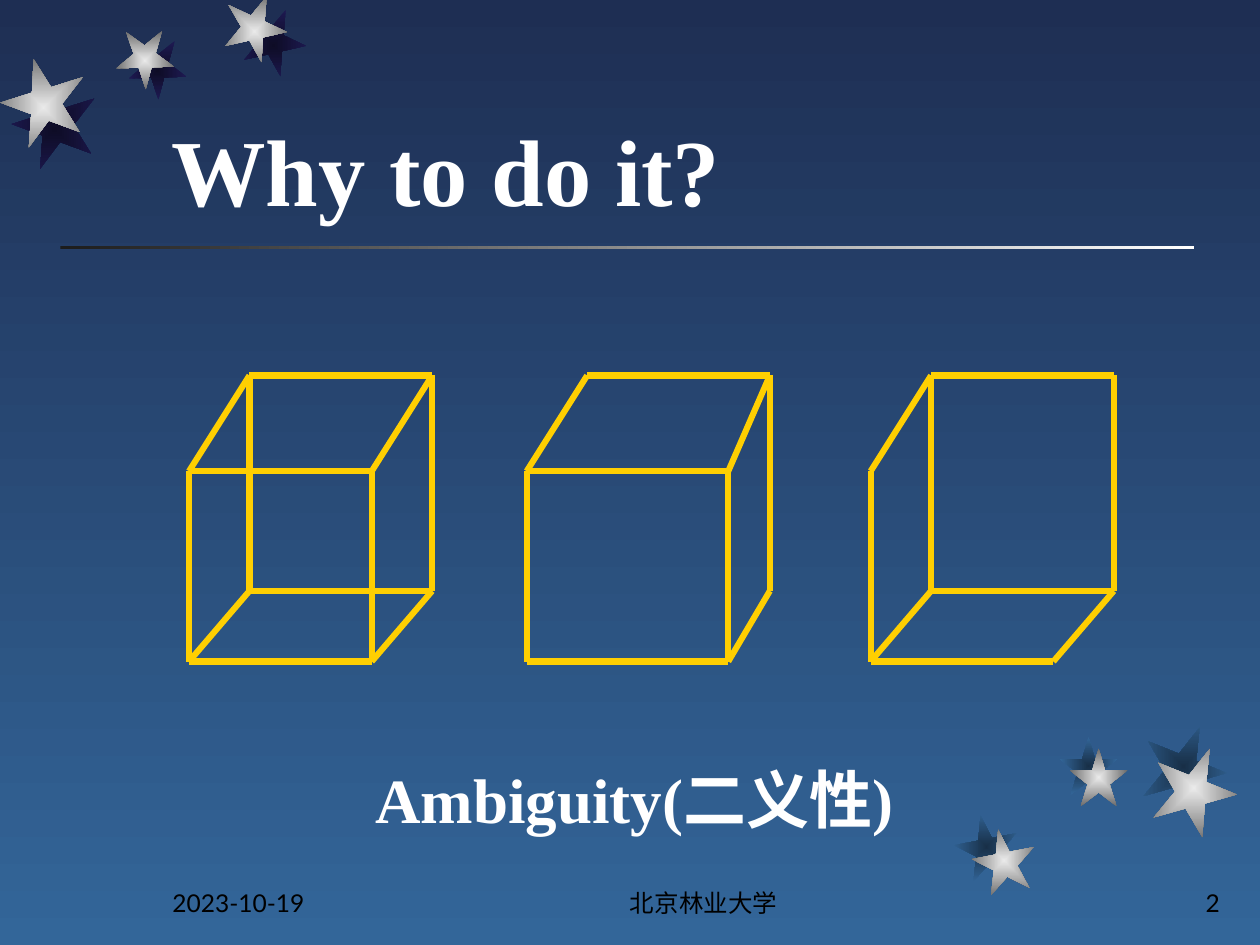
from dataclasses import dataclass

from lxml import etree
from pptx import Presentation, util as u
from pptx.dml.color import RGBColor
from pptx.enum import shapes, text
from pptx.oxml import ns


@dataclass(frozen=True)
class Theme:
    sky: tuple = ("1E2E53", "336699")
    rule: tuple = ("1C1C1C", "FFFFFF")
    silver: tuple = ("EAEAEA", "6C6C6C")
    night_shadow: tuple = ("0E0C26", "1E1A53")
    dusk_shadow: tuple = ("182F47", "336699")
    edge: str = "FFCF01"
    heading: str = "FFFFFF"
    footer: str = "000000"
    heading_font: str = "Times New Roman"
    footer_font: str = "Lato"
    title_size: int = 54
    caption_size: int = 36
    footer_size: int = 14
    edge_width: float = 3.5


THEME = Theme()

# Five-pointed star outline, in fractions of its box
STAR = [(0, .38), (.39, .38), (.5, 0), (.61, .38), (1, .38),
        (.69, .62), (.81, 1), (.5, .76), (.19, 1), (.31, .62)]

# Cube edges as pairs of corners: front/back, top/bottom, left/right
FRONT = ["ftl ftr", "ftl fbl", "fbl fbr", "fbr ftr"]
BACK = ["btl btr", "btr bbr", "btl bbl", "bbl bbr"]
DEPTH = ["btl ftl", "ftr btr", "bbr fbr", "bbl fbl"]
WIREFRAME = BACK + FRONT + DEPTH
HIDDEN_IN_SOLID = {"btl bbl", "bbl bbr", "bbl fbl"}
HIDDEN_IN_OPEN = {"ftl ftr", "fbr ftr", "ftr btr"}


def inches(*values):
    return [u.Inches(value) for value in values]


def paint_gradient(fill, colours, angle=0, from_centre=False):
    fill.gradient()
    fill.gradient_angle = angle
    for stop, position, colour in zip(fill.gradient_stops, (0, 1), colours):
        stop.position = position
        stop.color.rgb = RGBColor.from_string(colour)
    return fill


def radiate_from_centre(shape):
    linear = shape._element.spPr.find(".//" + ns.qn("a:lin"))
    radial = etree.Element(ns.qn("a:path"), path="rect")
    etree.SubElement(radial, ns.qn("a:fillToRect"),
                     l="50000", t="50000", r="50000", b="50000")
    linear.getparent().replace(linear, radial)


def write(frame, words, size, font, colour, align=text.PP_ALIGN.LEFT, bold=False):
    paragraph = frame.paragraphs[0]
    paragraph.alignment = align
    run = paragraph.add_run()
    run.text = words
    run.font.size = u.Pt(size)
    run.font.name = font
    run.font.bold = bold
    run.font.color.rgb = RGBColor.from_string(colour)


def add_star(slide, left, top, size, rotation, colours):
    points = [inches(left + x * size, top + y * size) for x, y in STAR]
    builder = slide.shapes.build_freeform(*points[0])
    builder.add_line_segments(points[1:], close=True)
    star = builder.convert_to_shape()
    star.rotation = rotation
    star.shadow.inherit = False
    star.line.fill.background()
    paint_gradient(star.fill, colours)
    radiate_from_centre(star)


def add_star_cluster(slide, stars, shadow_colours):
    # All shadows lie behind all stars
    for left, top, size, rotation, dx, dy in stars:
        add_star(slide, left + dx, top + dy, size, rotation, shadow_colours)
    for left, top, size, rotation, _, _ in stars:
        add_star(slide, left, top, size, rotation, THEME.silver)


def add_rule(slide, box):
    rule = slide.shapes.add_shape(shapes.MSO_SHAPE.RECTANGLE, *inches(*box))
    rule.shadow.inherit = False
    rule.line.fill.background()
    paint_gradient(rule.fill, THEME.rule)


def add_title(slide, box, words):
    title = slide.shapes.title
    title.left, title.top, title.width, title.height = inches(*box)
    frame = title.text_frame
    frame.auto_size = text.MSO_AUTO_SIZE.NONE
    frame.vertical_anchor = text.MSO_ANCHOR.BOTTOM
    write(frame, words, THEME.title_size, THEME.heading_font, THEME.heading, bold=True)


def add_cube(slide, box, front_width, edges):
    left, top, width, height = box
    depth_x, front_y, back_height = 0.48, 0.76, 1.71
    xs = {"fl": left, "fr": left + front_width,
          "bl": left + depth_x, "br": left + width}
    ys = {"bt": top, "ft": top + front_y,
          "bb": top + back_height, "fb": top + height}
    cube = slide.shapes.add_group_shape()
    for edge in edges:
        ends = [inches(xs[c[0] + c[2]], ys[c[:2]]) for c in edge.split()]
        line = cube.shapes.add_connector(shapes.MSO_CONNECTOR.STRAIGHT,
                                         *ends[0], *ends[1])
        line.line.color.rgb = RGBColor.from_string(THEME.edge)
        line.line.width = u.Pt(THEME.edge_width)
        etree.SubElement(line._element.spPr, ns.qn("a:effectLst"))


def add_caption(slide, box, words):
    frame = slide.shapes.add_textbox(*inches(*box)).text_frame
    frame.word_wrap = False
    frame.auto_size = text.MSO_AUTO_SIZE.SHAPE_TO_FIT_TEXT
    write(frame, words, THEME.caption_size, THEME.heading_font, THEME.heading, bold=True)


def add_footer(slide, box, words, align):
    frame = slide.shapes.add_textbox(*inches(*box)).text_frame
    frame.word_wrap = True
    frame.vertical_anchor = text.MSO_ANCHOR.BOTTOM
    write(frame, words, THEME.footer_size, THEME.footer_font, THEME.footer, align)


def main():
    deck = Presentation()
    deck.slide_width, deck.slide_height = inches(10, 7.5)
    slide = deck.slides.add_slide(deck.slide_layouts[5])
    paint_gradient(slide.background.fill, THEME.sky, angle=270)

    # Decoration: left, top, size, rotation, shadow offset
    add_rule(slide, (0.48, 1.95, 9, 0.03))
    add_star_cluster(slide, [(1.77, 0, 0.5, 167.3, 0.15, 0.11),
                             (0.92, 0.25, 0.46, 178.3, 0.1, 0.08),
                             (0.01, 0.52, 0.67, 200.3, 0.09, 0.17)],
                     THEME.night_shadow)
    add_star_cluster(slide, [(7.72, 6.58, 0.5, 349, -0.14, -0.11),
                             (8.49, 5.94, 0.46, 0, -0.08, -0.09),
                             (9.14, 5.92, 0.67, 22, -0.08, -0.17)],
                     THEME.dusk_shadow)

    # Footer
    add_footer(slide, (1.27, 6.83, 2.08, 0.5), "2023-10-19", text.PP_ALIGN.LEFT)
    add_footer(slide, (4, 6.83, 3.17, 0.5), "北京林业大学", text.PP_ALIGN.CENTER)
    add_footer(slide, (7.7, 6.83, 2.08, 0.5), "2", text.PP_ALIGN.RIGHT)

    # Title and caption
    add_title(slide, (1.26, 0.22, 7.38, 1.62), "Why to do it?")
    add_caption(slide, (2.88, 5.99, 4.55, 0.7), "Ambiguity(二义性)")

    # The ambiguous wireframe and its two readings
    for left, front_width, hidden in [(1.5, 1.45, set()),
                                      (4.18, 1.6, HIDDEN_IN_SOLID),
                                      (6.91, 1.45, HIDDEN_IN_OPEN)]:
        visible = [edge for edge in WIREFRAME if edge not in hidden]
        add_cube(slide, (left, 2.98, 1.93, 2.27), front_width, visible)

    deck.save("out.pptx")


if __name__ == "__main__":
    main()
